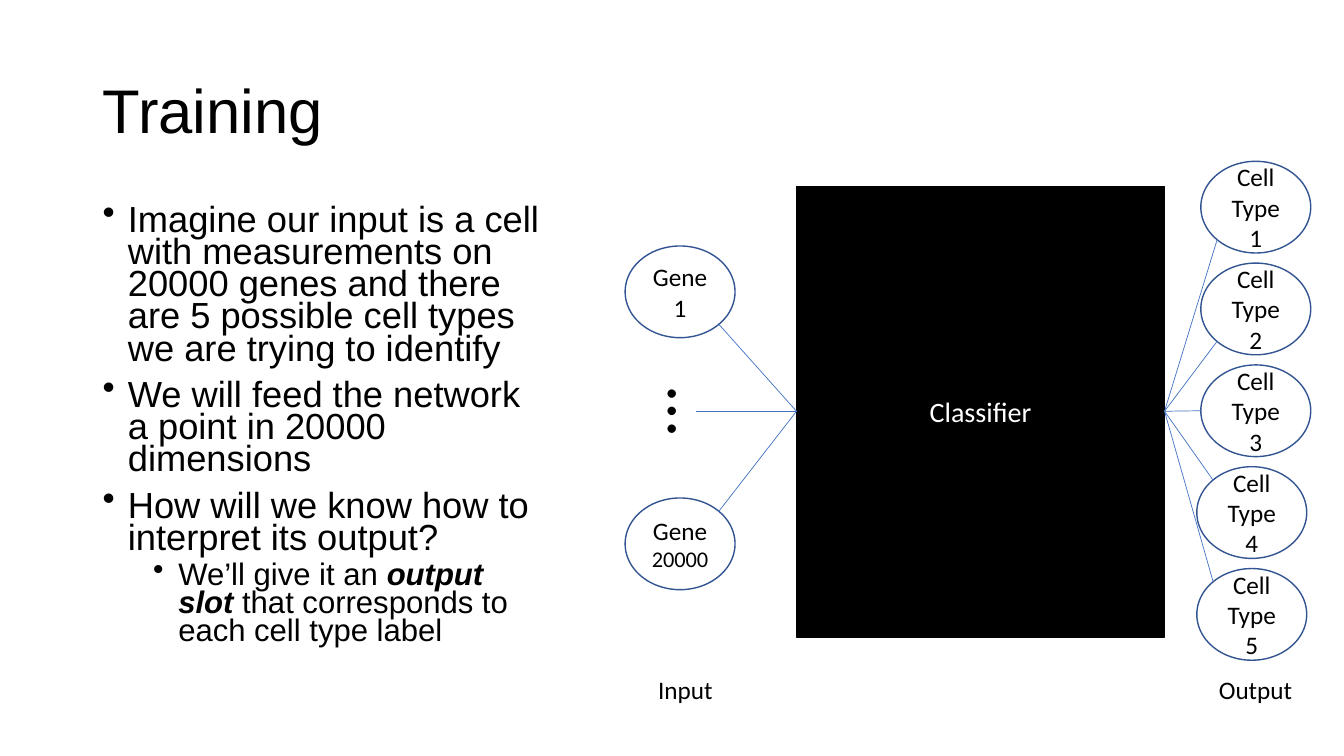
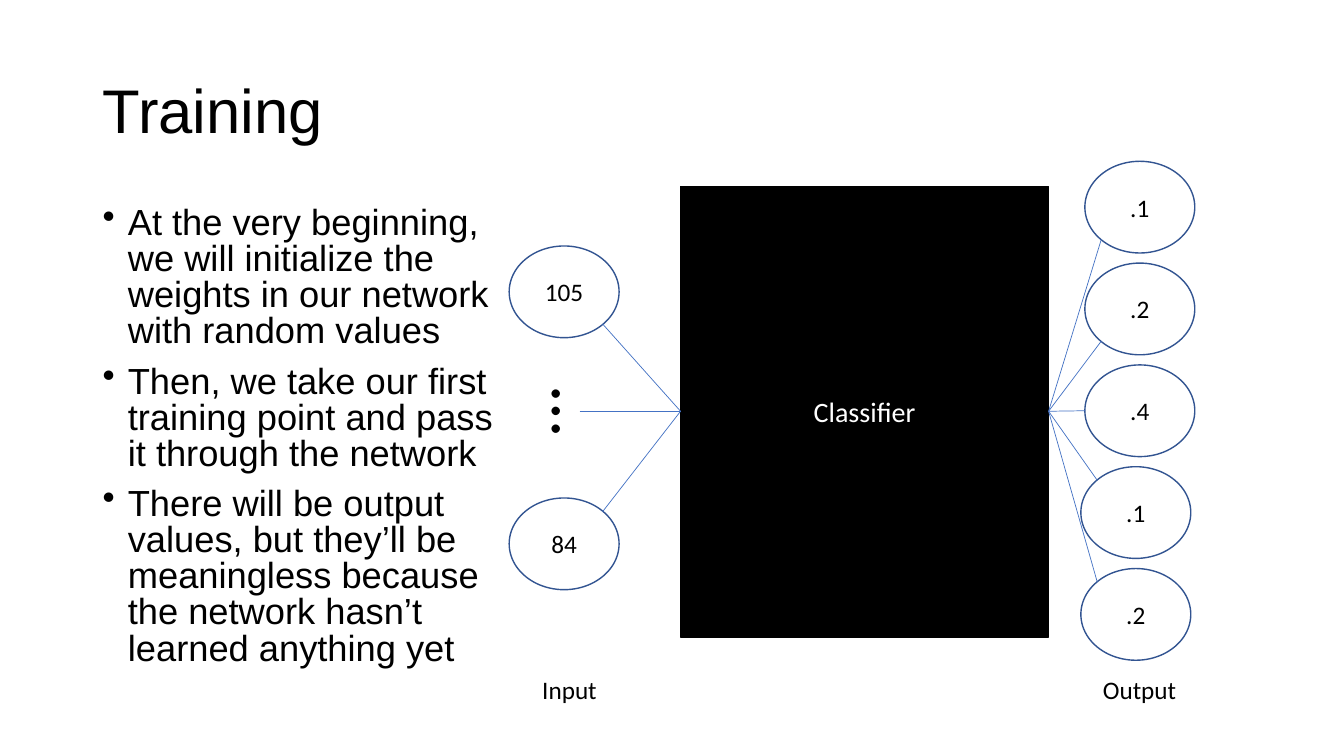
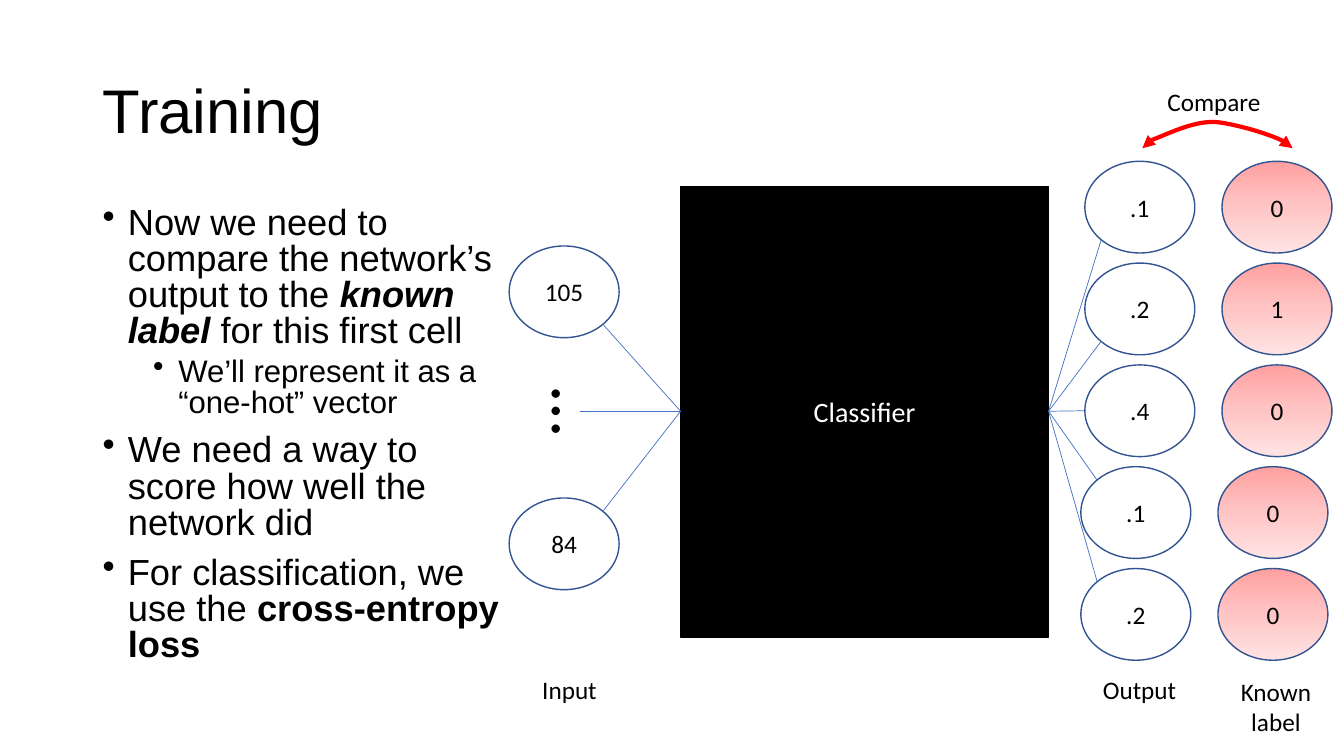
from dataclasses import dataclass

import pptx
import pptx.dml.color
import pptx.enum.shapes
import pptx.enum.text
import pptx.oxml
import pptx.oxml.ns
import pptx.util
from lxml import etree

Inches = pptx.util.Inches
Pt = pptx.util.Pt
qn = pptx.oxml.ns.qn
Align = pptx.enum.text.PP_ALIGN
Anchor = pptx.enum.text.MSO_ANCHOR
Preset = pptx.enum.shapes.MSO_SHAPE

BLACK, WHITE, RED = "000000", "FFFFFF", "FF0000"
OUTLINE, LINK = "325491", "4472C4"
KNOWN_GRADIENT = ((0, "FFA0A0"), (50, "FFC5C5"), (100, "FFE3E3"))
HEADING_FONT, DIAGRAM_FONT = "Arial", "Calibri"

NODE_W, NODE_H = 1.09, 0.91
GENE_TOPS = (2.44, 4.94)
OUTPUT_TOP, OUTPUT_PITCH = 1.6, 1.01
OUTPUT_SHIFTS = (0, 0, 0, -0.04, -0.04)
LINK_ENDS = ((0.15, 0.85), (0.15, 0.85), (0, 0.5), (0.15, 0.15), (0.15, 0.15))
MIDDLE_Y = 4.08
CLASSIFIER_W, CLASSIFIER_H = 3.65, 4.47


@dataclass(frozen=True)
class Span:
    text: str
    bold: bool = False
    italic: bool = False
    size: float | None = None
    new_line: bool = False


@dataclass(frozen=True)
class Bullet:
    spans: tuple[Span, ...]
    level: int = 0


@dataclass(frozen=True)
class Lesson:
    bullets: tuple[Bullet, ...]
    body_width: float
    spacing: float
    diagram_left: float
    genes: tuple[tuple[Span, ...], ...]
    outputs: tuple[str, ...]
    known: tuple[str, ...] = ()


def colour(value: str) -> pptx.dml.color.RGBColor:
    return pptx.dml.color.RGBColor.from_string(value)


def write(paragraph, spans: tuple[Span, ...], font: str, size: float,
          ink: str = BLACK, align=Align.LEFT) -> None:
    paragraph.alignment = align
    paragraph.font.name = font
    paragraph.font.size = Pt(size)
    paragraph.font.color.rgb = colour(ink)
    for span in spans:
        if span.new_line:
            paragraph.add_line_break()
        run = paragraph.add_run()
        run.text = span.text
        if span.bold:
            run.font.bold = True
        if span.italic:
            run.font.italic = True
        if span.size:
            run.font.size = Pt(span.size)


def add_text(slide, left: float, top: float, width: float, height: float):
    box = slide.shapes.add_textbox(Inches(left), Inches(top), Inches(width), Inches(height))
    box.text_frame.word_wrap = True
    return box


def add_label(slide, left: float, top: float, width: float, text: str,
              height: float = 0.4, size: float = 18, align=Align.LEFT):
    label = add_text(slide, left, top, width, height)
    write(label.text_frame.paragraphs[0], (Span(text),), DIAGRAM_FONT, size, align=align)
    return label


def add_block(slide, preset, left: float, top: float, width: float, height: float,
              spans: tuple[Span, ...], size: float, ink: str, outline: str):
    block = slide.shapes.add_shape(
        preset, Inches(left), Inches(top), Inches(width), Inches(height))
    block.shadow.inherit = False
    block.fill.background()
    block.line.color.rgb = colour(outline)
    block.line.width = Pt(1)
    block.text_frame.word_wrap = True
    block.text_frame.vertical_anchor = Anchor.MIDDLE
    write(block.text_frame.paragraphs[0], spans, DIAGRAM_FONT, size, ink, Align.CENTER)
    return block


def add_node(slide, left: float, top: float, spans: tuple[Span, ...]):
    return add_block(slide, Preset.OVAL, left, top, NODE_W, NODE_H, spans, 18, BLACK, OUTLINE)


def add_link(slide, x1: float, y1: float, x2: float, y2: float) -> None:
    link = slide.shapes.add_connector(
        pptx.enum.shapes.MSO_CONNECTOR.STRAIGHT,
        Inches(x1), Inches(y1), Inches(x2), Inches(y2))
    link.line.color.rgb = colour(LINK)
    link.line.width = Pt(0.5)
    etree.SubElement(link._element.spPr, qn("a:effectLst"))


def fill_gradient(node) -> None:
    node.fill.gradient()
    node.fill.gradient_angle = 270
    stops = node._element.spPr.find(".//" + qn("a:gsLst"))
    for stop in list(stops):
        stops.remove(stop)
    for percent, value in KNOWN_GRADIENT:
        stop = etree.SubElement(stops, qn("a:gs"), pos=str(percent * 1000))
        etree.SubElement(stop, qn("a:srgbClr"), val=value)


def add_title(slide, text: str) -> None:
    title = add_text(slide, 0.92, 0.4, 11.5, 1.45)
    title.text_frame.vertical_anchor = Anchor.MIDDLE
    paragraph = title.text_frame.paragraphs[0]
    paragraph.line_spacing = 0.9
    write(paragraph, (Span(text),), HEADING_FONT, 44)


def add_bullets(slide, lesson: Lesson) -> None:
    frame = add_text(slide, 0.92, 2, lesson.body_width, 4.76).text_frame
    for index, bullet in enumerate(lesson.bullets):
        paragraph = frame.add_paragraph() if index else frame.paragraphs[0]
        paragraph.level = bullet.level
        paragraph.line_spacing = lesson.spacing
        paragraph.space_before = Pt(5 if bullet.level else 10)
        write(paragraph, bullet.spans, HEADING_FONT, 22.2 if bullet.level else 25.9)
        properties = paragraph._p.get_or_add_pPr()
        properties.set("marL", str(Inches(0.25 + 0.5 * bullet.level)))
        properties.set("indent", str(Inches(-0.25)))
        marker = properties.makeelement(qn("a:buChar"), {"char": "•"})
        properties.find(qn("a:defRPr")).addprevious(marker)


def add_inputs(slide, left: float, genes: tuple[tuple[Span, ...], ...]) -> None:
    classifier_left = left + 1.7
    for top, gene, corner in zip(GENE_TOPS, genes, (0.85, 0.15)):
        add_node(slide, left, top, gene)
        add_link(slide, left + 0.85 * NODE_W, top + corner * NODE_H, classifier_left, MIDDLE_Y)
    dots = add_label(slide, left + 0.25, 3.61, 0.91, "…", 0.94, 50, Align.CENTER)
    dots.rotation = 90
    add_link(slide, left + 0.7, MIDDLE_Y, classifier_left, MIDDLE_Y)
    add_label(slide, left + 0.23, 6.64, 0.86, "Input")


def add_column(slide, left: float, values: tuple[str, ...]) -> list:
    return [
        add_node(slide, left + shift, OUTPUT_TOP + OUTPUT_PITCH * row, (Span(value),))
        for row, (value, shift) in enumerate(zip(values, OUTPUT_SHIFTS))
    ]


def add_outputs(slide, left: float, outputs: tuple[str, ...]) -> None:
    output_left = left + 5.71
    add_column(slide, output_left, outputs)
    for row, (shift, (across, down)) in enumerate(zip(OUTPUT_SHIFTS, LINK_ENDS)):
        add_link(slide, left + 1.7 + CLASSIFIER_W, MIDDLE_Y,
                 output_left + shift + across * NODE_W,
                 OUTPUT_TOP + OUTPUT_PITCH * row + down * NODE_H)
    add_label(slide, left + 5.79, 6.64, 1.01, "Output")


def curve(points: tuple[tuple[float, float], ...], steps: int = 16) -> list:
    def blend(t: float, axis: int) -> float:
        a, b, c, d = (point[axis] for point in points)
        u = 1 - t
        return u ** 3 * a + 3 * u * u * t * b + 3 * u * t * t * c + t ** 3 * d

    return [
        (Inches(blend(step / steps, 0)), Inches(blend(step / steps, 1)))
        for step in range(1, steps + 1)
    ]


def add_comparison(slide) -> None:
    add_label(slide, 11.48, 0.81, 1.14, "Compare")
    rise = ((11.42, 1.39), (11.54, 1.35), (11.82, 1.2), (12.05, 1.21))
    fall = ((12.05, 1.21), (12.29, 1.23), (12.8, 1.39), (12.82, 1.47))
    builder = slide.shapes.build_freeform(Inches(11.33), Inches(1.47))
    shoulder = (Inches(11.42), Inches(1.39))
    builder.add_line_segments([shoulder] + curve(rise) + curve(fall), close=False)
    arc = builder.convert_to_shape()
    arc.shadow.inherit = False
    arc.fill.background()
    arc.line.color.rgb = colour(RED)
    arc.line.width = Pt(3)
    stroke = arc._element.spPr.find(qn("a:ln"))
    for end in ("a:headEnd", "a:tailEnd"):
        etree.SubElement(stroke, qn(end), type="triangle")


def add_known(slide, left: float, known: tuple[str, ...]) -> None:
    for node in add_column(slide, left + 7.07, known):
        fill_gradient(node)
    add_label(slide, left + 7.1, 6.66, 1.01, "Known label", 0.71, align=Align.CENTER)
    add_comparison(slide)


def add_lesson(deck, lesson: Lesson) -> None:
    slide = deck.slides.add_slide(deck.slide_layouts[6])
    add_title(slide, "Training")
    add_bullets(slide, lesson)
    left = lesson.diagram_left
    classifier = add_block(slide, Preset.RECTANGLE, left + 1.7, 1.85, CLASSIFIER_W,
                           CLASSIFIER_H, (Span("Classifier"),), 20, WHITE, BLACK)
    classifier.fill.solid()
    classifier.fill.fore_color.rgb = colour(BLACK)
    add_inputs(slide, left, lesson.genes)
    add_outputs(slide, left, lesson.outputs)
    if lesson.known:
        add_known(slide, left, lesson.known)


MEASURED_GENES = ((Span("105"),), (Span("84"),))
FIRST_OUTPUTS = (".1", ".2", ".4", ".1", ".2")

LESSONS = (
    Lesson(
        bullets=(
            Bullet((Span("Imagine our input is a cell with measurements on 20000 genes "
                         "and there are 5 possible cell types we are trying to identify"),)),
            Bullet((Span("We will feed the network a point in 20000 dimensions"),)),
            Bullet((Span("How will we know how to interpret its output?"),)),
            Bullet((Span("We’ll give it an "), Span("output slot", True, True),
                    Span(" that corresponds to each cell type label")), 1),
        ),
        body_width=4.56,
        spacing=0.74,
        diagram_left=6.2,
        genes=(
            (Span("Gene"), Span("1", new_line=True)),
            (Span("Gene"), Span("20000", size=16, new_line=True)),
        ),
        outputs=tuple(f"Cell Type {number}" for number in range(1, 6)),
    ),
    Lesson(
        bullets=(
            Bullet((Span("At the very beginning, we will initialize the weights "
                         "in our network with random values"),)),
            Bullet((Span("Then, we take our first training point and pass it "
                         "through the network"),)),
            Bullet((Span("There will be output values, but they’ll be meaningless "
                         "because the network hasn’t learned anything yet"),)),
        ),
        body_width=4.16,
        spacing=0.83,
        diagram_left=5.05,
        genes=MEASURED_GENES,
        outputs=FIRST_OUTPUTS,
    ),
    Lesson(
        bullets=(
            Bullet((Span("Now we need to compare the network’s output to the "),
                    Span("known label ", True, True), Span("for this first cell"))),
            Bullet((Span("We’ll represent it as a “one-hot” vector"),), 1),
            Bullet((Span("We need a way to score how well the network did"),)),
            Bullet((Span("For classification, we use the "),
                    Span("cross-entropy loss", True))),
        ),
        body_width=4.16,
        spacing=0.83,
        diagram_left=5.05,
        genes=MEASURED_GENES,
        outputs=FIRST_OUTPUTS,
        known=("0", "1", "0", "0", "0"),
    ),
)


def main() -> None:
    deck = pptx.Presentation()
    deck.slide_width = Inches(13.33)
    deck.slide_height = Inches(7.5)
    for lesson in LESSONS:
        add_lesson(deck, lesson)
    deck.save("out.pptx")


if __name__ == "__main__":
    main()
